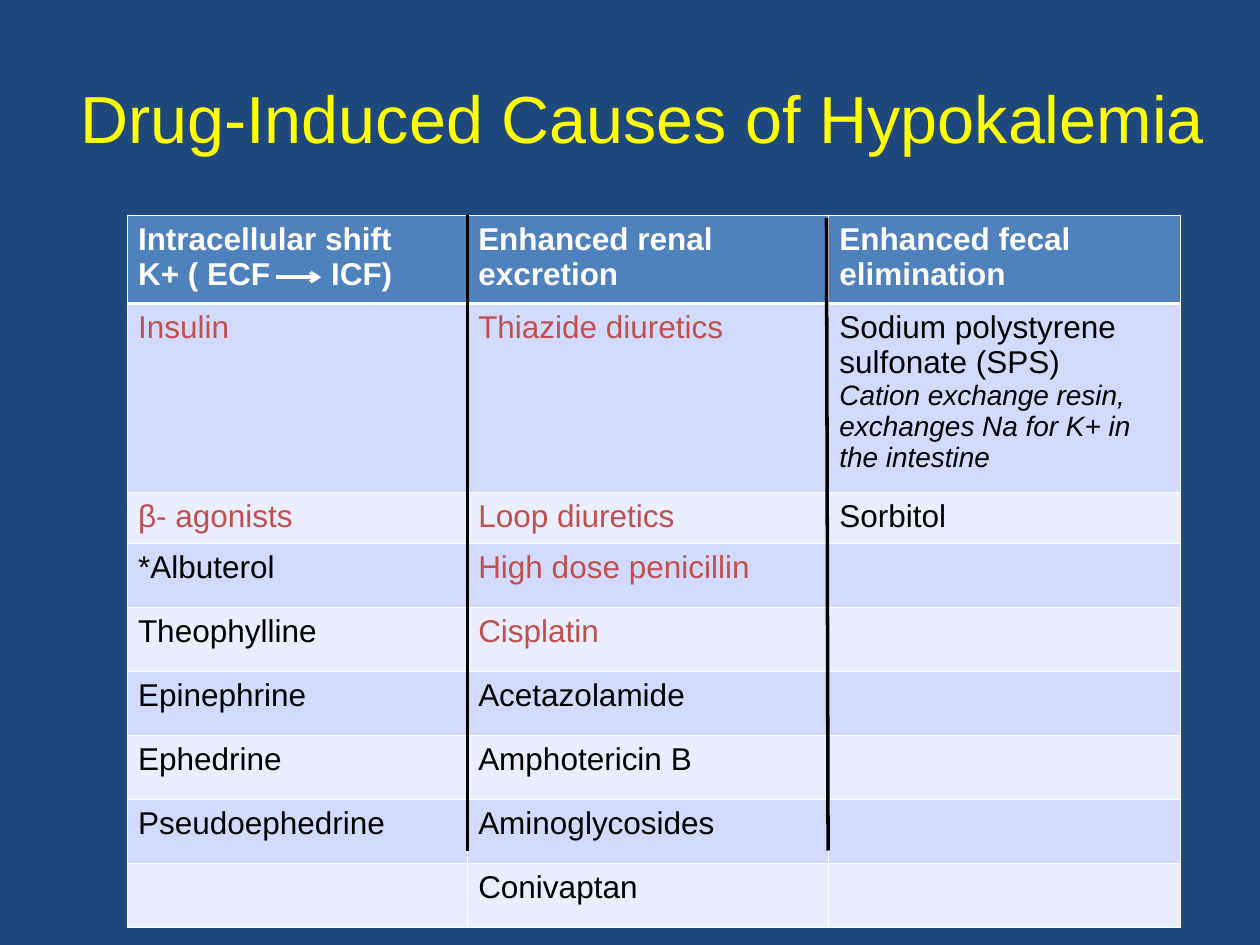
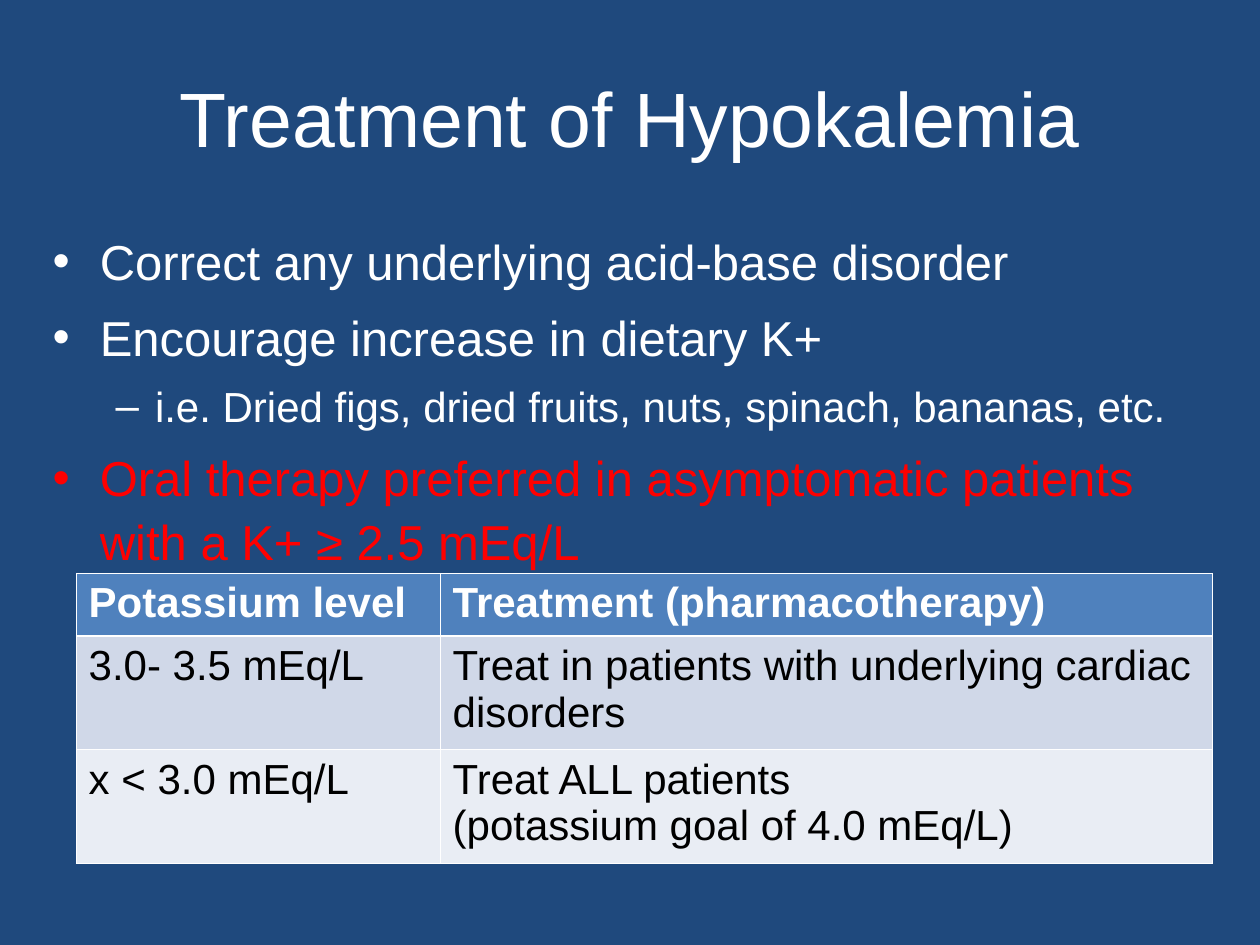
import pptx
import pptx.dml.color
import pptx.enum.shapes
import pptx.enum.text
import pptx.oxml
import pptx.oxml.ns
import pptx.util
from lxml import etree

Pt = pptx.util.Pt
qn = pptx.oxml.ns.qn

FONT = "Arial"
COLORS = {
    "background": "1F497D",
    "white": "FFFFFF",
    "black": "000000",
    "yellow": "FFFF00",
    "red": "FF0000",
    "key drug": "C0504D",
    "header": "4F81BD",
}
DRUG_BANDS = ("D2DBFE", "EAEEFF")
LEVEL_BANDS = ("D0D8E8", "E9EDF4")
THIN, THICK = 0.45, 1.47

DRUG_ROWS = [
    ("Intracellular shift\nK+ ( ECF\tICF)", "Enhanced renal excretion", "Enhanced fecal elimination"),
    ("Insulin", "Thiazide diuretics",
     "Sodium polystyrene sulfonate (SPS)\n"
     "Cation exchange resin, exchanges Na for K+ in the intestine"),
    ("β- agonists", "Loop diuretics", "Sorbitol"),
    ("*Albuterol", "High dose penicillin", ""),
    ("Theophylline", "Cisplatin", ""),
    ("Epinephrine", "Acetazolamide", ""),
    ("Ephedrine", "Amphotericin B", ""),
    ("Pseudoephedrine", "Aminoglycosides", ""),
    ("", "Conivaptan", ""),
]
KEY_DRUGS = {"Insulin", "β- agonists", "Thiazide diuretics", "Loop diuretics",
             "High dose penicillin", "Cisplatin"}

LEVEL_ROWS = [
    ("Potassium level", "Treatment (pharmacotherapy)"),
    ("3.0- 3.5 mEq/L", "Treat in patients with underlying cardiac disorders"),
    ("x < 3.0 mEq/L", "Treat ALL patients\n(potassium goal of 4.0 mEq/L)"),
]

# text, level, color
ADVICE = [
    ("Correct any underlying acid-base disorder", 0, "white"),
    ("Encourage increase in dietary K+", 0, "white"),
    ("i.e. Dried figs, dried fruits, nuts, spinach, bananas, etc.", 1, "white"),
    ("Oral therapy preferred in asymptomatic patients with a K+ ≥ 2.5 mEq/L", 0, "red"),
]
# bullet, size, space before, left margin, hanging indent
LEVELS = [("•", 28, 7, 27, 27), ("–", 24, 6, 58.5, 22.5)]


def rgb(color):
    return pptx.dml.color.RGBColor.from_string(COLORS.get(color, color))


def set_font(paragraph, size, color, bold=False):
    font = paragraph.font
    font.name, font.size, font.bold = FONT, Pt(size), bold
    font.color.rgb = rgb(color)


def add_slide(deck):
    slide = deck.slides.add_slide(deck.slide_layouts[6])
    slide.background.fill.solid()
    slide.background.fill.fore_color.rgb = rgb("background")
    return slide


def add_text_frame(slide, left, top, width, height):
    frame = slide.shapes.add_textbox(Pt(left), Pt(top), Pt(width), Pt(height)).text_frame
    frame.word_wrap = True
    return frame


def add_title(slide, text, left, width, size, color):
    frame = add_text_frame(slide, left, 21.6, width, 90)
    frame.vertical_anchor = pptx.enum.text.MSO_ANCHOR.MIDDLE
    title = frame.paragraphs[0]
    title.text = text
    title.alignment = pptx.enum.text.PP_ALIGN.CENTER
    set_font(title, size, color)


def add_bullets(slide, items, left, top, width, height):
    frame = add_text_frame(slide, left, top, width, height)
    for index, (text, level, color) in enumerate(items):
        bullet, size, before, margin, hanging = LEVELS[level]
        point = frame.add_paragraph() if index else frame.paragraphs[0]
        point.text = text
        point.level = level
        properties = point._p.get_or_add_pPr()
        properties.set("marL", str(Pt(margin)))
        properties.set("indent", str(-Pt(hanging)))
        bullet_color = etree.SubElement(properties, qn("a:buClr"))
        etree.SubElement(bullet_color, qn("a:srgbClr"), val=COLORS[color])
        etree.SubElement(properties, qn("a:buFont"), typeface=FONT)
        etree.SubElement(properties, qn("a:buChar"), char=bullet)
        point.line_spacing = 1.08
        point.space_before = Pt(before)
        set_font(point, size, color)


def set_borders(cell, top, bottom):
    properties = cell._tc.get_or_add_tcPr()
    for side, width in (("L", THIN), ("R", THIN), ("T", top), ("B", bottom)):
        line = etree.SubElement(properties, qn(f"a:ln{side}"), w=str(Pt(width)))
        fill = etree.SubElement(line, qn("a:solidFill"))
        etree.SubElement(fill, qn("a:srgbClr"), val=COLORS["white"])


def add_table(slide, rows, left, top, widths, heights, size, bands, margin):
    """Draw a table with a bold header row and two alternating body fills."""
    table = slide.shapes.add_table(len(rows), len(widths), Pt(left), Pt(top),
                                   Pt(sum(widths)), Pt(sum(heights))).table
    for column, width in zip(table.columns, widths):
        column.width = Pt(width)
    for index, (texts, height) in enumerate(zip(rows, heights)):
        table.rows[index].height = Pt(height)
        is_header = index == 0
        for cell, text in zip(table.rows[index].cells, texts):
            set_borders(cell, THICK if index == 1 else THIN, THICK if is_header else THIN)
            cell.fill.solid()
            cell.fill.fore_color.rgb = rgb("header" if is_header else bands[(index - 1) % 2])
            cell.margin_left = cell.margin_right = Pt(margin)
            cell.text = text
            color = "white" if is_header else "key drug" if text in KEY_DRUGS else "black"
            for paragraph in cell.text_frame.paragraphs:
                set_font(paragraph, size, color, bold=is_header)
    return table


def add_tab_stop(paragraph, position):
    tabs = pptx.oxml.parse_xml(
        f'<a:tabLst xmlns:a="{pptx.oxml.ns.nsdecls("a").split(chr(34))[1]}">'
        f'<a:tab pos="{Pt(position)}" algn="l"/></a:tabLst>')
    paragraph._p.get_or_add_pPr().insert(0, tabs)


def add_line(slide, start, end, color, arrow=False):
    line = slide.shapes.add_connector(pptx.enum.shapes.MSO_CONNECTOR.STRAIGHT,
                                      *map(Pt, start + end))
    line.line.color.rgb = rgb(color)
    line.line.width = Pt(2)
    if arrow:
        etree.SubElement(line.line._get_or_add_ln(), qn("a:tailEnd"), type="arrow")
    etree.SubElement(line._element.spPr, qn("a:effectLst"))


def build_causes(deck):
    slide = add_slide(deck)
    add_title(slide, "Drug-Induced Causes of Hypokalemia", 27.4, 679.7, 38, "yellow")
    drugs = add_table(slide, DRUG_ROWS, 72.7, 123, (194.4, 206.4, 201),
                      [50.4, 108, 29.2] + [36.55] * 6, 18, DRUG_BANDS, 6.2)
    add_tab_stop(drugs.cell(0, 0).text_frame.paragraphs[1], 110.3)
    resin_note = drugs.cell(1, 2).text_frame.paragraphs[1]
    resin_note.font.size = Pt(16)
    resin_note.font.italic = True
    add_line(slide, (157.7, 158.4), (183.6, 158.4), "white", arrow=True)
    add_line(slide, (267.1, 123), (267.1, 486), "black")
    add_line(slide, (472.3, 124.6), (473.2, 486), "black")


def build_treatment(deck):
    slide = add_slide(deck)
    add_title(slide, "Treatment of Hypokalemia", 36, 648, 44, "white")
    add_bullets(slide, ADVICE, 23, 126, 686, 388)
    add_table(slide, LEVEL_ROWS, 43.5, 327.6, (208, 441.4), (36, 64.8, 64.8),
              24, LEVEL_BANDS, 7.2)


def main():
    deck = pptx.Presentation()
    deck.slide_width, deck.slide_height = Pt(720), Pt(540)
    build_causes(deck)
    build_treatment(deck)
    deck.save("out.pptx")


if __name__ == "__main__":
    main()
